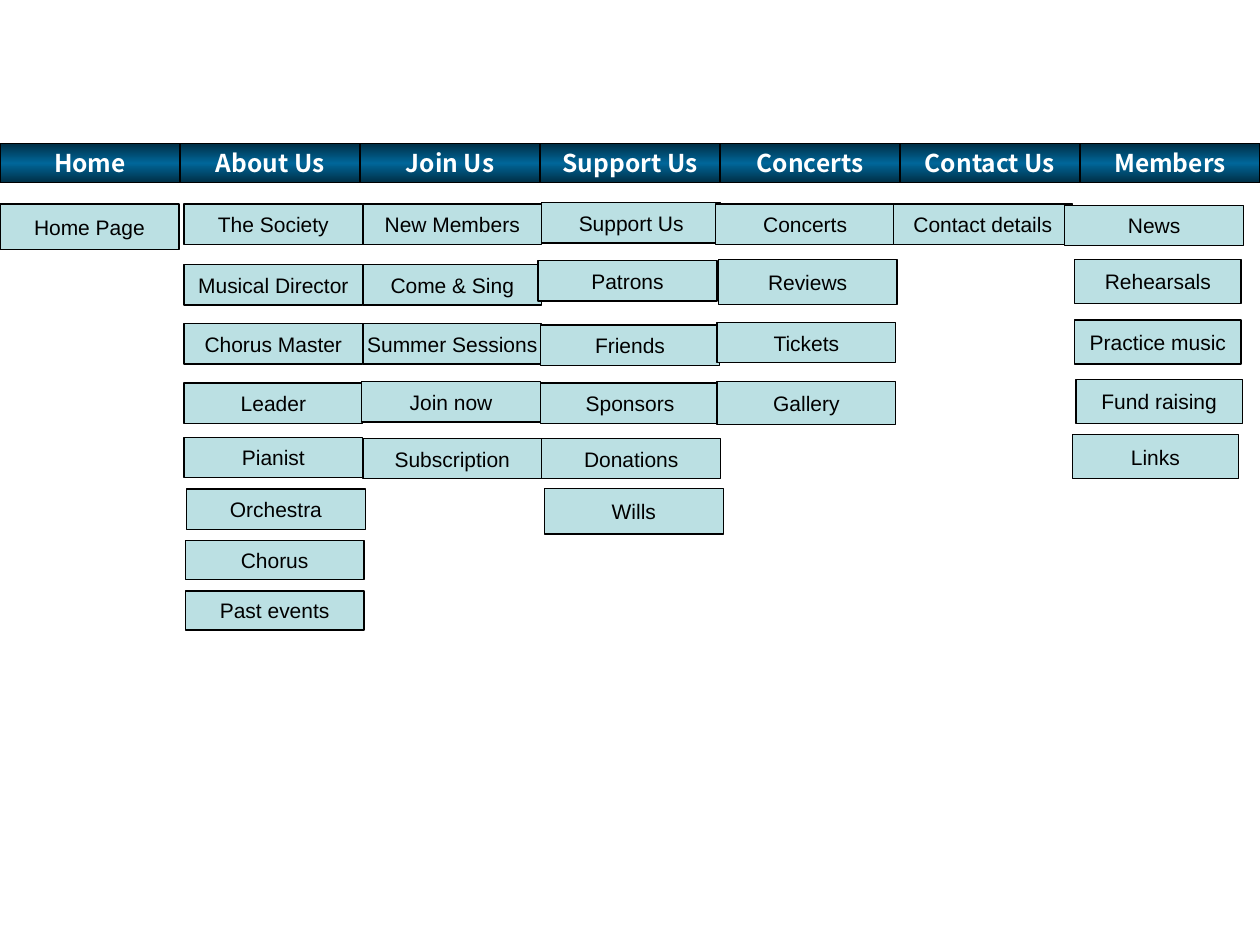
import copy

import pptx
import pptx.dml.color
import pptx.enum.shapes
import pptx.enum.text
import pptx.util

Inches = pptx.util.Inches

COLORS = {
    "header_edge": "002F46",
    "header_middle": "006699",
    "page": "BBE0E3",
    "line": "000000",
    "header_text": "FFFFFF",
    "page_text": "000000",
}

SLIDE_W, SLIDE_H = 10, 7.5
HEADER_TOP, HEADER_H = 1.14, 0.31
PAGE_W, PAGE_H = 1.42, 0.32

# Each menu: heading, box width, pages as (text, left, top, height)
MENUS = [
    ("Home", PAGE_W, [("Home Page", 0, 1.62, 0.36)]),
    ("About Us", PAGE_W, [
        ("The Society", 1.46, 1.62, PAGE_H),
        ("Musical Director", 1.46, 2.1, PAGE_H),
        ("Chorus Master", 1.46, 2.57, PAGE_H),
        ("Leader", 1.46, 3.04, PAGE_H),
        ("Pianist", 1.46, 3.47, PAGE_H),
        ("Orchestra", 1.48, 3.88, PAGE_H),
        ("Chorus", 1.47, 4.29, 0.31),
        ("Past events", 1.47, 4.69, 0.31),
    ]),
    ("Join Us", PAGE_W, [
        ("New Members", 2.88, 1.62, PAGE_H),
        ("Come & Sing", 2.88, 2.1, PAGE_H),
        ("Summer Sessions", 2.88, 2.57, PAGE_H),
        ("Join now", 2.87, 3.03, PAGE_H),
        ("Subscription", 2.88, 3.48, PAGE_H),
    ]),
    ("Support Us", PAGE_W, [
        ("Support Us", 4.3, 1.61, PAGE_H),
        ("Patrons", 4.27, 2.07, PAGE_H),
        ("Friends", 4.29, 2.58, PAGE_H),
        ("Sponsors", 4.29, 3.04, PAGE_H),
        ("Donations", 4.3, 3.48, PAGE_H),
        ("Wills", 4.32, 3.88, 0.36),
    ]),
    ("Concerts", PAGE_W, [
        ("Concerts", 5.68, 1.62, PAGE_H),
        ("Reviews", 5.7, 2.06, 0.36),
        ("Tickets", 5.69, 2.56, PAGE_H),
        ("Gallery", 5.69, 3.03, 0.34),
    ]),
    ("Contact Us", PAGE_W, [("Contact details", 7.09, 1.62, PAGE_H)]),
    ("Members", 1.32, [
        ("Rehearsals", 8.53, 2.06, 0.35),
        ("Practice music", 8.53, 2.54, 0.35),
        ("Fund raising", 8.54, 3.01, 0.35),
        ("Links", 8.51, 3.45, 0.35),
    ]),
]
MEMBERS_NEWS = ("News", 8.45, 1.63, PAGE_H)  # as wide as the other menus' boxes


def rgb(name):
    return pptx.dml.color.RGBColor.from_string(COLORS[name])


def add_box(shapes, text, left, top, width, height, font, size, color, bold=False):
    """Add an outlined rectangle with one centred line of text."""
    s = shapes.add_shape(pptx.enum.shapes.MSO_SHAPE.RECTANGLE,
                         Inches(left), Inches(top), Inches(width), Inches(height))
    s.shadow.inherit = False
    s.line.color.rgb = rgb("line")
    s.line.width = pptx.util.Pt(0.75)
    tf = s.text_frame
    tf.word_wrap = False
    tf.vertical_anchor = pptx.enum.text.MSO_ANCHOR.MIDDLE
    p = tf.paragraphs[0]
    p.alignment = pptx.enum.text.PP_ALIGN.CENTER
    r = p.add_run()
    r.text = text
    r.font.name = font
    r.font.size = pptx.util.Pt(size)
    r.font.bold = bold
    r.font.color.rgb = rgb(color)
    return s


def fill_header(s):
    """Fill with a vertical gradient that is lightest in the middle."""
    s.fill.gradient()
    s.fill.gradient_angle = 90
    stop_list = s._element.spPr.find(".//" + pptx.oxml.ns.qn("a:gsLst"))
    stop_list.insert(1, copy.deepcopy(stop_list[0]))
    names = ("header_edge", "header_middle", "header_edge")
    for i, (stop, name) in enumerate(zip(s.fill.gradient_stops, names)):
        stop.position = i / 2
        stop.color.rgb = rgb(name)


def add_header_bar(slide):
    group = slide.shapes.add_group_shape()
    width = SLIDE_W / len(MENUS)
    for i, (heading, _, _) in enumerate(MENUS):
        s = add_box(group.shapes, heading, i * width, HEADER_TOP, width, HEADER_H,
                    "Noto Sans CJK SC", 14, "header_text", bold=True)
        fill_header(s)


def add_page(slide, page, width):
    text, left, top, height = page
    s = add_box(slide.shapes, text, left, top, width, height, "Arial", 12, "page_text")
    s.fill.solid()
    s.fill.fore_color.rgb = rgb("page")


def main():
    prs = pptx.Presentation()
    prs.slide_width, prs.slide_height = Inches(SLIDE_W), Inches(SLIDE_H)
    slide = prs.slides.add_slide(prs.slide_layouts[6])

    # Menu bar
    add_header_bar(slide)

    # Pages under each menu
    for _, width, pages in MENUS:
        for page in pages:
            add_page(slide, page, width)
    add_page(slide, MEMBERS_NEWS, PAGE_W)

    prs.save("out.pptx")


if __name__ == "__main__":
    main()
